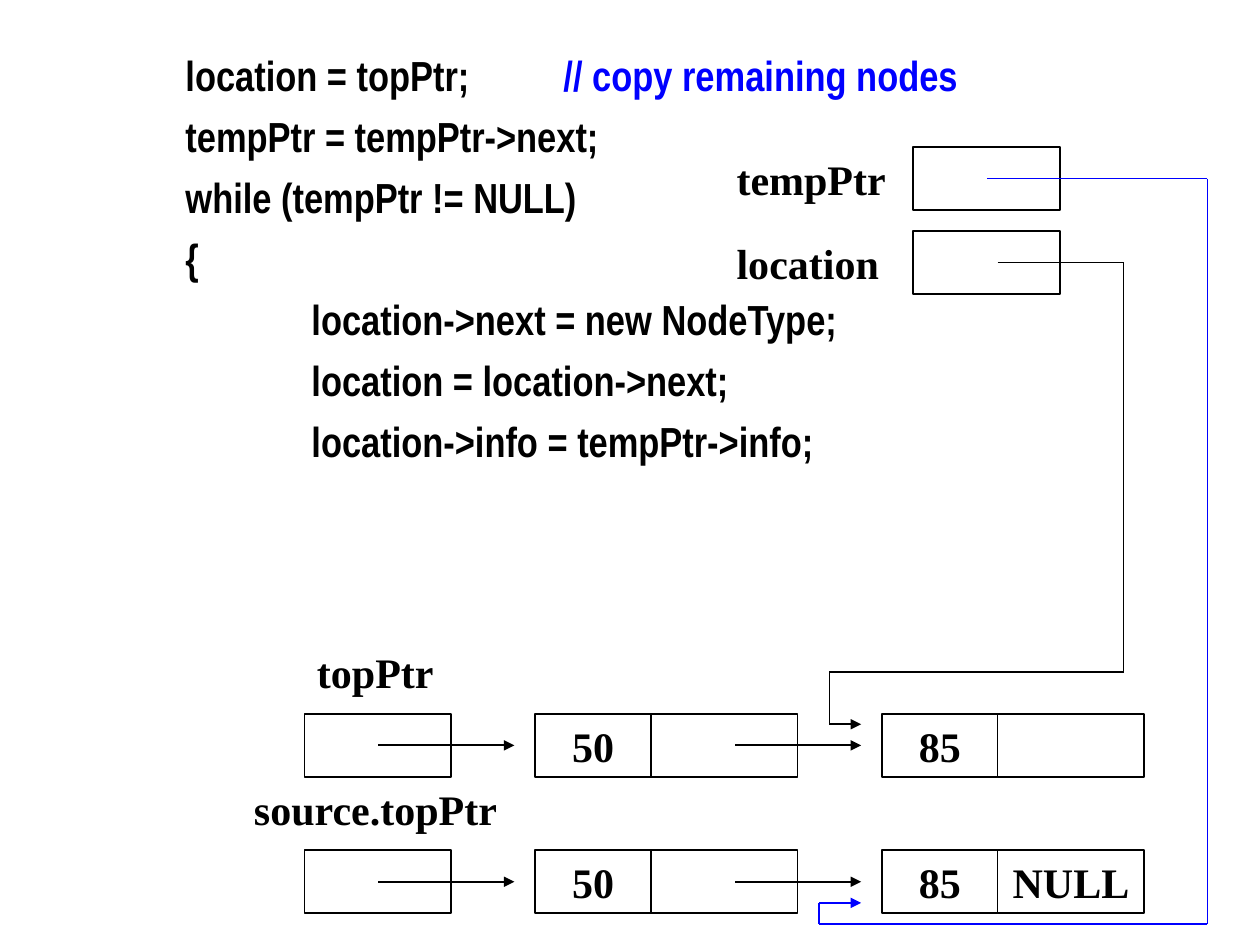
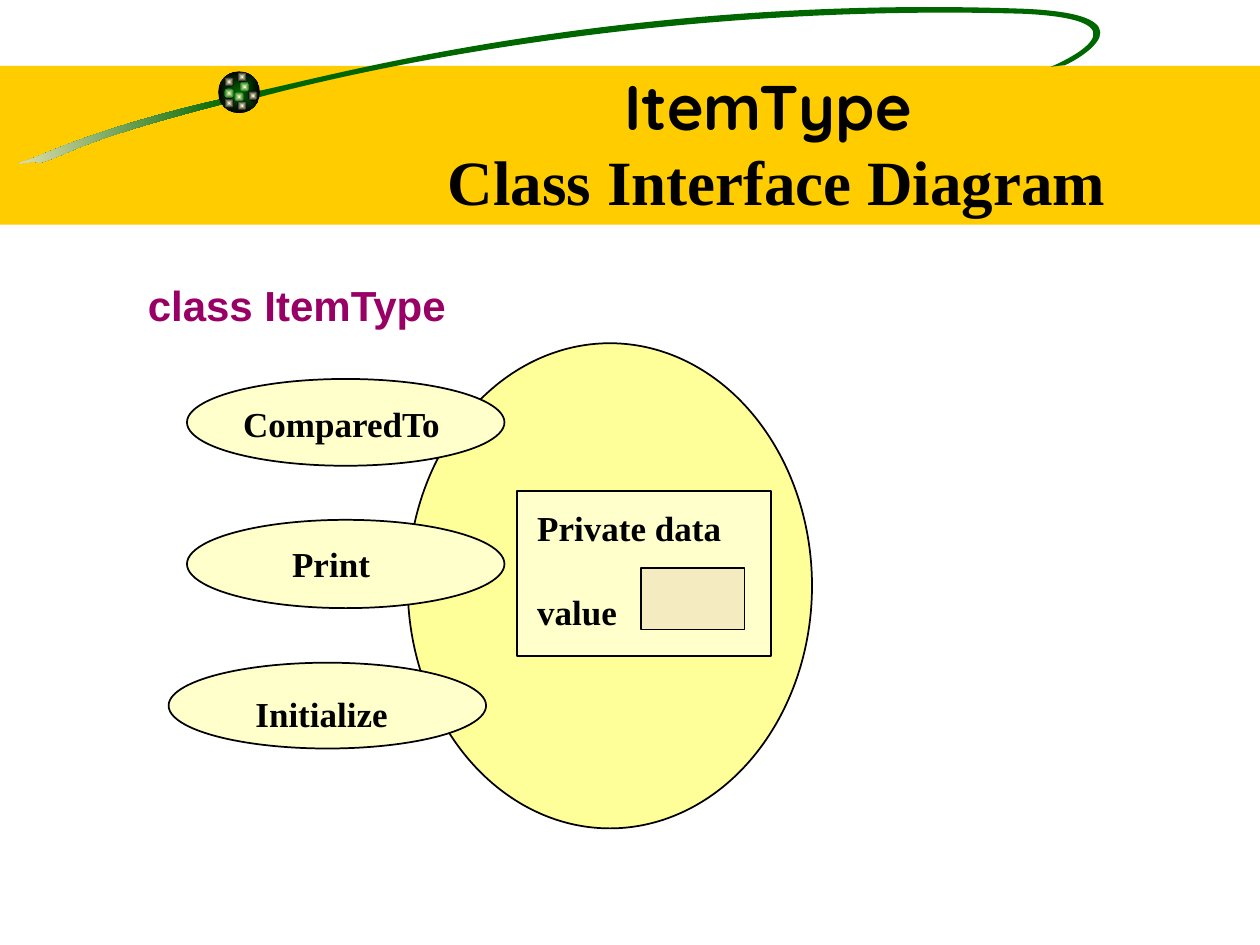
from dataclasses import dataclass
from itertools import pairwise
from math import cos, radians, sin

from lxml.etree import SubElement
from pptx import Presentation
from pptx.dml.color import RGBColor
from pptx.enum.shapes import MSO_CONNECTOR as Connector, MSO_SHAPE as Shape
from pptx.enum.text import MSO_ANCHOR as Anchor, PP_ALIGN as Align
from pptx.oxml.ns import qn
from pptx.util import Cm, Pt


@dataclass(frozen=True)
class Theme:
    black: RGBColor = RGBColor.from_string("000000")
    white: RGBColor = RGBColor.from_string("FFFFFF")
    blue: RGBColor = RGBColor.from_string("0000FF")
    purple: RGBColor = RGBColor.from_string("990066")
    gold: RGBColor = RGBColor.from_string("FFCC00")
    green: RGBColor = RGBColor.from_string("006600")
    yellow: RGBColor = RGBColor.from_string("FFFF99")
    cream: RGBColor = RGBColor.from_string("FFFFCC")
    sand: RGBColor = RGBColor.from_string("F5EBC1")
    serif: str = "Times New Roman"
    sans: str = "Arial"
    code: str = "Arial Narrow"
    display: str = "Quicksand"
    title_size: Pt = Pt(36)
    text_size: Pt = Pt(24)
    member_size: Pt = Pt(20)
    line_width: Pt = Pt(1)


theme = Theme()


def add_figure(slide, kind, box, fill, outlined=True):
    figure = slide.shapes.add_shape(kind, *map(Cm, box))
    figure.shadow.inherit = False
    figure.fill.solid()
    figure.fill.fore_color.rgb = fill
    if outlined:
        figure.line.color.rgb = theme.black
        figure.line.width = theme.line_width
    else:
        figure.line.fill.background()
    return figure


def write(holder, lines, size=theme.text_size, font=theme.serif, color=theme.black,
          align=Align.LEFT, anchor=Anchor.TOP, wrap=True):
    frame = holder.text_frame
    frame.word_wrap = wrap
    frame.vertical_anchor = anchor
    for index, line in enumerate(lines):
        paragraph = frame.add_paragraph() if index else frame.paragraphs[0]
        paragraph.text = line
        paragraph.alignment = align
        for run in paragraph.runs:
            run.font.size = size
            run.font.name = font
            run.font.bold = True
            run.font.color.rgb = color
    return frame


deck = Presentation()
deck.slide_width, deck.slide_height = Cm(25.4), Cm(19.05)
blank = deck.slide_layouts[6]

copy_slide = deck.slides.add_slide(blank)

code_box = copy_slide.shapes.add_textbox(Cm(0), Cm(0), Cm(24.1), Cm(10.36))
code = write(code_box, [
    "location = topPtr;\t",
    "tempPtr = tempPtr->next;",
    "while (tempPtr != NULL)",
    "{",
    "location->next = new NodeType;",
    "location = location->next;",
    "location->info = tempPtr->info;",
], font=theme.code, anchor=Anchor.MIDDLE)
code.margin_left = Cm(3.74)
code.margin_top = Cm(0.15)
for statement in code.paragraphs[1:]:
    statement.space_before = Pt(6)
for statement in code.paragraphs[4:]:
    statement._p.get_or_add_pPr().set("marL", str(Cm(2.54)))

first_statement = code.paragraphs[0]
tab_list = SubElement(first_statement._p.get_or_add_pPr(), qn("a:tabLst"))
SubElement(tab_list, qn("a:tab"), pos=str(Cm(7.62)), algn="l")
remark = first_statement.add_run()
remark.text = "// copy remaining nodes"
remark.font.size = theme.text_size
remark.font.name = theme.code
remark.font.bold = True
remark.font.color.rgb = theme.blue

cell_height = 1.27
info_width, pointer_width = 2.33, 2.96
top_x, first_x, second_x = 6.14, 10.79, 17.78
copy_y, source_y = 14.39, 17.14
temp_y, location_y = 2.96, 4.66

for name, label_x, label_y, label_width, cell_x, cell_y in [
    ("tempPtr", 14.6, temp_y, 4.72, 18.41, temp_y),
    ("location", 14.6, location_y, 4.52, 18.41, location_y),
    ("topPtr", 6.14, copy_y - 1.48, 2.97, top_x, copy_y),
    ("source.topPtr", 4.87, source_y - 1.48, 5.79, top_x, source_y),
]:
    add_figure(copy_slide, Shape.RECTANGLE,
               (cell_x, cell_y, pointer_width, cell_height), theme.white)
    label = copy_slide.shapes.add_textbox(
        Cm(label_x), Cm(label_y), Cm(label_width), Cm(cell_height))
    write(label, [name])

routes = [
    (theme.blue, [(19.9, 3.6), (24.34, 3.6), (24.34, 18.63),
                  (16.51, 18.63), (16.51, 18.2), (17.36, 18.2)]),
    (theme.black, [(20.11, 5.29), (22.65, 5.29), (22.65, 13.55),
                   (16.72, 13.55), (16.72, 14.6), (17.36, 14.6)]),
]
for row_y, last_link in [(copy_y, ""), (source_y, "NULL")]:
    for node_x, info, link in [(first_x, "50", ""), (second_x, "85", last_link)]:
        for cell_x, cell_width, value in [
            (node_x, info_width, info),
            (node_x + info_width, pointer_width, link),
        ]:
            cell = add_figure(copy_slide, Shape.RECTANGLE,
                              (cell_x, row_y, cell_width, cell_height), theme.white)
            if value:
                write(cell, [value], align=Align.CENTER, anchor=Anchor.MIDDLE, wrap=False)
    middle = row_y + cell_height / 2
    for start, end in [(7.62, 10.37), (14.82, 17.36)]:
        routes.append((theme.black, [(start, middle), (end, middle)]))

for color, corners in routes:
    for start, end in pairwise(corners):
        link = copy_slide.shapes.add_connector(Connector.STRAIGHT, *map(Cm, start + end))
        link.line.color.rgb = color
        link.line.width = theme.line_width
        properties = link._element.spPr
        if end == corners[-1]:
            SubElement(properties.find(qn("a:ln")), qn("a:tailEnd"), type="triangle")
        SubElement(properties, qn("a:effectLst"))

class_slide = deck.slides.add_slide(blank)
add_figure(class_slide, Shape.RECTANGLE, (0, 1.33, 25.4, 3.2), theme.gold, outlined=False)

comet_tail = [
    (4.52, 1.98), (2.31, 2.49), (1.24, 2.95), (0.64, 3.2),
    (0.03, 3.4), (0.66, 3.2), (0.79, 3.28),
    (1.45, 3.1), (1.45, 2.87), (4.55, 2.08),
    (4.55, 2.08), (4.52, 1.98), (4.52, 1.98),
]
comet_orbit = [
    (5.13, 1.85), (6.25, 1.65), (12.34, -0.13), (20.68, 0.18),
    (23.29, 0.3), (21.77, 1.19), (21.46, 1.32),
    (21.46, 1.32), (21.38, 1.32), (21.18, 1.35),
    (21.44, 1.24), (23.27, 0.41), (20.65, 0.28),
    (13.92, 0.08), (8.13, 1.19), (5.23, 1.96),
    (5.23, 1.96), (5.13, 1.85), (5.13, 1.85),
]
tilt = 8.5
cosine, sine = cos(radians(tilt)), sin(radians(tilt))
for controls, center_x, center_y, fades in [
    (comet_tail, 2.26, 2.69, True),
    (comet_orbit, 14.2, 1.0, False),
]:
    level = [
        (Cm(center_x + (x - center_x) * cosine - (y - center_y) * sine),
         Cm(center_y + (x - center_x) * sine + (y - center_y) * cosine))
        for x, y in controls
    ]
    builder = class_slide.shapes.build_freeform(*level[0])
    builder.add_line_segments(level[1:], close=True)
    stroke = builder.convert_to_shape()
    segments = list(stroke._element.iter(qn("a:lnTo")))
    for first in range(0, len(segments), 3):
        curve = SubElement(segments[first].getparent(), qn("a:cubicBezTo"))
        segments[first].addprevious(curve)
        for segment in segments[first:first + 3]:
            curve.append(segment[0])
            segment.getparent().remove(segment)
    stroke.rotation = -tilt
    stroke.shadow.inherit = False
    stroke.line.fill.background()
    if fades:
        stroke.fill.gradient()
        stroke.fill.gradient_angle = 180
        for stop, color in zip(stroke.fill.gradient_stops, (theme.green, theme.sand)):
            stop.color.rgb = color
    else:
        stroke.fill.solid()
        stroke.fill.fore_color.rgb = theme.green

for left, top, size, center, rim in [
    (4.4, 1.44, 0.84, theme.green, theme.black),
    (4.83, 1.65, 0.2, theme.cream, theme.green),
    (4.52, 1.55, 0.2, theme.cream, theme.black),
    (4.52, 1.78, 0.2, theme.cream, theme.green),
    (4.72, 1.85, 0.2, theme.cream, theme.green),
    (5.0, 1.83, 0.2, theme.cream, theme.black),
    (4.78, 2.03, 0.2, theme.cream, theme.black),
    (4.52, 1.98, 0.2, theme.cream, theme.black),
    (4.78, 1.45, 0.2, theme.cream, theme.black),
]:
    ball = add_figure(class_slide, Shape.OVAL, (left, top, size, size), rim, outlined=False)
    ball.fill.gradient()
    for stop, color in zip(ball.fill.gradient_stops, (center, rim)):
        stop.color.rgb = color
    gradient = ball._element.spPr.find(qn("a:gradFill"))
    gradient.remove(gradient.find(qn("a:lin")))
    radial = SubElement(gradient, qn("a:path"), {"path": "rect"})
    SubElement(radial, qn("a:fillToRect"), l="50000", t="50000", r="50000", b="50000")

add_figure(class_slide, Shape.OVAL, (8.22, 6.92, 8.15, 9.78), theme.yellow)
for left, top, height in [(3.77, 7.64, 1.75), (3.4, 13.36, 1.73), (3.77, 10.48, 1.78)]:
    add_figure(class_slide, Shape.OVAL, (left, top, 6.4, height), theme.cream)
add_figure(class_slide, Shape.RECTANGLE, (10.42, 9.9, 5.13, 3.33), theme.cream)

for lines, box in [
    (["Private data", "value"], (10.63, 10.11, 4.11, 2.74)),
    (["ComparedTo"], (4.7, 8.02, 4.45, 1.04)),
    (["Print"], (5.69, 10.83, 1.98, 1.04)),
]:
    member = add_figure(class_slide, Shape.RECTANGLE, box, theme.cream, outlined=False)
    frame = write(member, lines, size=theme.member_size, wrap=False)
    frame.margin_left = frame.margin_right = Cm(0.2)
    frame.margin_top = frame.margin_bottom = Cm(0.1)
    for paragraph in frame.paragraphs[1:]:
        paragraph.space_before = Pt(24)

initializer = class_slide.shapes.add_textbox(Cm(4.9), Cm(13.84), Cm(3.18), Cm(1.09))
write(initializer, ["Initialize"], size=theme.member_size, wrap=False)

class_name = class_slide.shapes.add_textbox(Cm(2.73), Cm(5.51), Cm(6.58), Cm(1.27))
write(class_name, ["class ItemType"], font=theme.sans, color=theme.purple, wrap=False)

title = class_slide.shapes.add_textbox(Cm(4.66), Cm(1.28), Cm(22), Cm(3.25))
heading = write(title, ["ItemType \vClass Interface Diagram"], size=theme.title_size,
                align=Align.CENTER, anchor=Anchor.BOTTOM)
heading.paragraphs[0].runs[0].font.name = theme.display

add_figure(class_slide, Shape.RECTANGLE, (12.93, 11.45, 2.08, 1.24), theme.sand)

deck.save("out.pptx")
